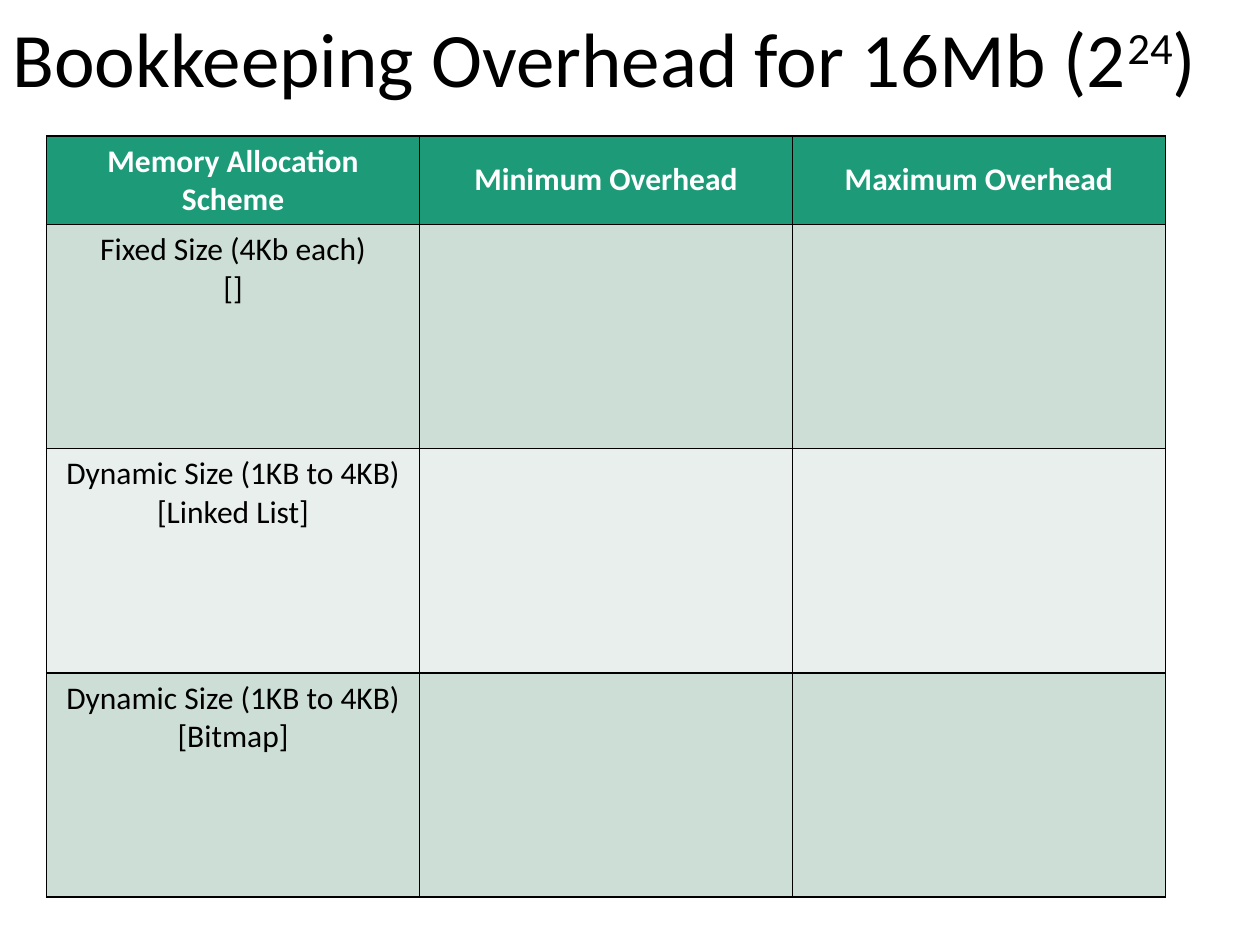
from dataclasses import dataclass

from lxml.etree import SubElement
from pptx import Presentation
from pptx.dml.color import RGBColor
from pptx.enum.text import MSO_ANCHOR as ANCHOR, PP_ALIGN as ALIGN
from pptx.oxml.ns import qn
from pptx.util import Inches, Pt

FONT = "Calibri"
COLORS = {
    "black": "000000",
    "white": "FFFFFF",
    "header": "1D9A78",
    "dark_band": "CDDED6",
    "light_band": "E8EFEC",
}
COLUMN_WIDTH = 2.96
HEADER_HEIGHT = 0.62
BODY_HEIGHT = 1.78


@dataclass
class Row:
    texts: tuple[str, str, str]
    fill: str
    height: float = BODY_HEIGHT
    is_header: bool = False


ROWS = [
    Row(("Memory Allocation Scheme", "Minimum Overhead", "Maximum Overhead"),
        "header", HEADER_HEIGHT, True),
    Row(("Fixed Size (4Kb each)\n[]", "", ""), "dark_band"),
    Row(("Dynamic Size (1KB to 4KB)\n[Linked List]", "", ""), "light_band"),
    Row(("Dynamic Size (1KB to 4KB)\n[Bitmap]", "", ""), "dark_band"),
]


def rgb(name: str) -> RGBColor:
    return RGBColor.from_string(COLORS[name])


def style_font(font, size: float, color: str, bold: bool = False) -> None:
    font.name = FONT
    font.size = Pt(size)
    font.bold = bold
    font.color.rgb = rgb(color)


def add_borders(cell, color: str, width: float) -> None:
    """Line all four sides; call before filling, as the schema puts lines first."""
    tc_pr = cell._tc.get_or_add_tcPr()
    for side in ("lnL", "lnR", "lnT", "lnB"):
        ln = SubElement(tc_pr, qn(f"a:{side}"), w=str(Pt(width)))
        fill = SubElement(ln, qn("a:solidFill"))
        SubElement(fill, qn("a:srgbClr"), val=COLORS[color])


def add_title(slide) -> None:
    tf = slide.shapes.add_textbox(
        Inches(0), Inches(-0.02), Inches(10), Inches(1.04)).text_frame
    tf.word_wrap = True
    tf.vertical_anchor = ANCHOR.MIDDLE
    p = tf.paragraphs[0]
    p.line_spacing = 0.9
    for text, baseline in (("Bookkeeping Overhead for 16Mb (2", 0), ("24", 30), (")", 0)):
        r = p.add_run()
        r.text = text
        style_font(r.font, 44, "black")
        if baseline:
            r.font._element.set("baseline", str(baseline * 1000))


def fill_cell(cell, text: str, row: Row) -> None:
    add_borders(cell, "black", 1)
    cell.fill.solid()
    cell.fill.fore_color.rgb = rgb(row.fill)
    cell.vertical_anchor = ANCHOR.MIDDLE if row.is_header else ANCHOR.TOP
    cell.text_frame.text = text
    for p in cell.text_frame.paragraphs:
        p.alignment = ALIGN.CENTER
        for r in p.runs:
            style_font(r.font, 18, "white" if row.is_header else "black", row.is_header)


def add_overhead_table(slide, rows: list[Row]) -> None:
    column_count = len(rows[0].texts)
    table = slide.shapes.add_table(
        len(rows), column_count, Inches(0.37), Inches(1.08),
        Inches(COLUMN_WIDTH * column_count),
        Inches(sum(row.height for row in rows))).table
    for column in table.columns:
        column.width = Inches(COLUMN_WIDTH)
    for i, row in enumerate(rows):
        table.rows[i].height = Inches(row.height)
        for j, text in enumerate(row.texts):
            fill_cell(table.cell(i, j), text, row)


def main() -> None:
    prs = Presentation()
    prs.slide_width = Inches(10)
    prs.slide_height = Inches(7.5)
    slide = prs.slides.add_slide(prs.slide_layouts[6])
    add_title(slide)
    add_overhead_table(slide, ROWS)
    prs.save("out.pptx")


if __name__ == "__main__":
    main()
